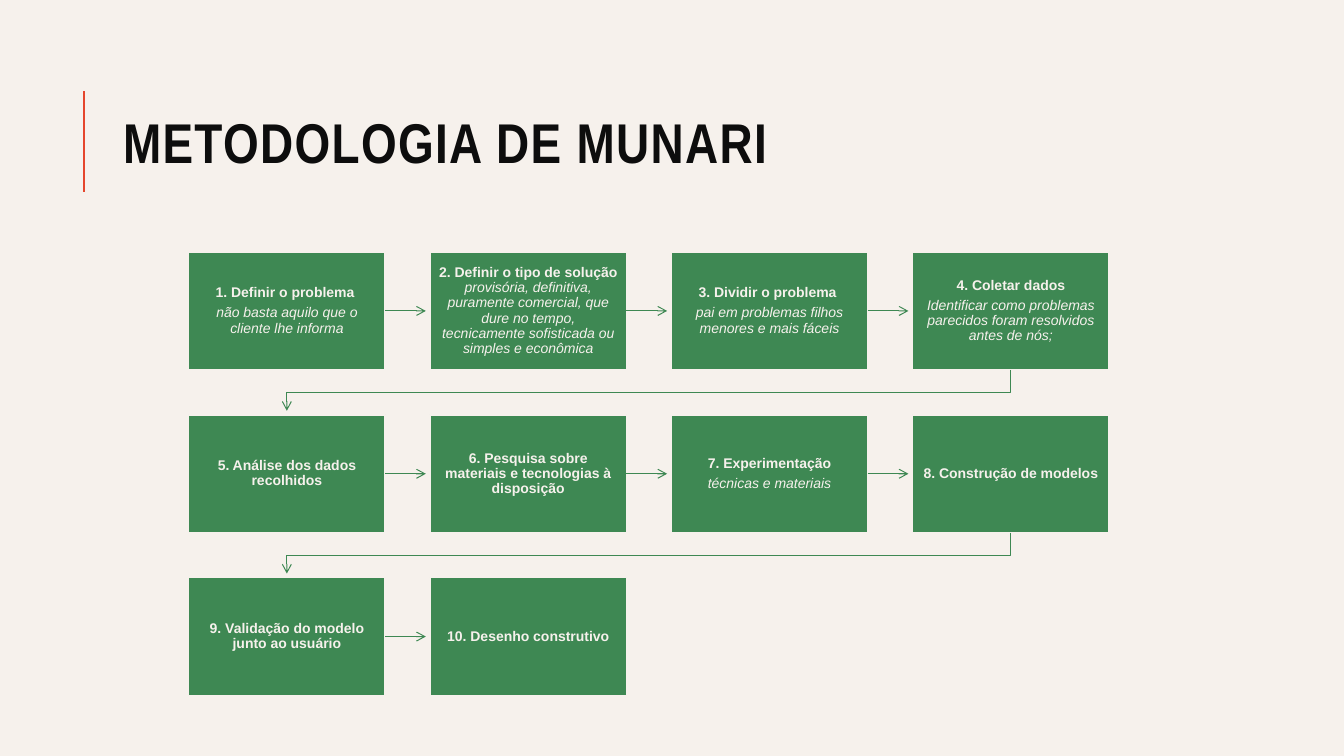
from lxml import etree
from pptx import Presentation
from pptx.dml.color import RGBColor
from pptx.enum.shapes import MSO_CONNECTOR as CONN, MSO_SHAPE as SHAPE
from pptx.enum.text import MSO_ANCHOR as ANCHOR, MSO_AUTO_SIZE as AUTO, PP_ALIGN as ALIGN
from pptx.oxml.ns import qn
from pptx.util import Inches, Pt

COLORS = {"cream": "F6F1EC", "green": "3E8853", "red": "E5462D", "ink": "0D0D0D"}

# Each step is a list of paragraphs, each made of (text, is_heading) runs
STEPS = [
    [[("1. Definir o problema ", True)],
     [("não basta aquilo que o cliente lhe informa", False)]],
    [[("2. Definir o tipo de solução ", True),
      ("provisória, definitiva, puramente comercial, que dure no tempo, "
       "tecnicamente sofisticada ou simples e econômica", False)]],
    [[("3. Dividir o problema ", True)],
     [("pai em problemas filhos menores e mais fáceis", False)]],
    [[("4. Coletar dados", True)],
     [("Identificar como problemas parecidos foram resolvidos antes de nós;", False)]],
    [[("5. Análise dos dados recolhidos", True)]],
    [[("6. Pesquisa sobre materiais e tecnologias à disposição", True)]],
    [[("7. Experimentação", True)], [("técnicas e materiais", False)]],
    [[("8. Construção de modelos", True)]],
    [[("9. Validação do modelo junto ao usuário", True)]],
    [[("10. Desenho construtivo", True)]],
]
COLS = 4
LEFT, TOP = 1.87, 2.5
BOX_W, BOX_H = 1.95, 1.17
STEP_X, STEP_Y = 7.18 / 3, 3.23 / 2
TIP_GAP = 0.04


def rgb(name):
    return RGBColor.from_string(COLORS[name])


def style_line(sp, color, width, arrow=False):
    sp.line.color.rgb = rgb(color)
    sp.line.width = Pt(width)
    sp_pr = sp._element.spPr
    if arrow:
        etree.SubElement(sp_pr.find(qn("a:ln")), qn("a:tailEnd"), type="arrow")
    if sp_pr.find(qn("a:effectLst")) is None:
        etree.SubElement(sp_pr, qn("a:effectLst"))


prs = Presentation()
prs.slide_width, prs.slide_height = Inches(13.33), Inches(7.5)
s = prs.slides.add_slide(prs.slide_layouts[5])
s.background.fill.solid()
s.background.fill.fore_color.rgb = rgb("cream")

# Title with its red rule
rule = s.shapes.add_connector(CONN.STRAIGHT, Inches(0.83), Inches(1.9), Inches(0.83), Inches(0.9))
style_line(rule, "red", 1.5)
title = s.shapes.title
title.left, title.top = Inches(1.12), Inches(0.64)
title.width, title.height = Inches(10.63), Inches(1.64)
tf = title.text_frame
tf.auto_size = AUTO.NONE
tf.word_wrap = True
tf.vertical_anchor = ANCHOR.MIDDLE
p = tf.paragraphs[0]
p.alignment = ALIGN.LEFT
p.line_spacing = 0.8
r = p.add_run()
r.text = "METODOLOGIA DE MUNARI"
r.font.name, r.font.size, r.font.bold = "Arial Narrow", Pt(40), True
r.font.color.rgb = rgb("ink")
r._r.get_or_add_rPr().set("spc", "100")

# Step boxes on a four-column grid
boxes = []
for i, paragraphs in enumerate(STEPS):
    row, col = divmod(i, COLS)
    box = s.shapes.add_shape(SHAPE.RECTANGLE, Inches(LEFT + col * STEP_X),
                             Inches(TOP + row * STEP_Y), Inches(BOX_W), Inches(BOX_H))
    box.shadow.inherit = False
    box.fill.solid()
    box.fill.fore_color.rgb = rgb("green")
    style_line(box, "cream", 1.25)
    tf = box.text_frame
    tf.word_wrap = True
    tf.vertical_anchor = ANCHOR.MIDDLE
    tf.margin_left = tf.margin_right = tf.margin_top = tf.margin_bottom = Inches(0.08)
    for n, runs in enumerate(paragraphs):
        p = tf.add_paragraph() if n else tf.paragraphs[0]
        p.alignment = ALIGN.CENTER
        p.line_spacing = 0.9
        p.space_after = Pt(3.5)
        for text, heading in runs:
            r = p.add_run()
            r.text = text
            r.font.name, r.font.size = "Arial", Pt(10)
            r.font.bold, r.font.italic = heading, not heading
            r.font.color.rgb = rgb("cream")
    boxes.append(box)

# Arrows: straight within a row, bent from the end of one row to the next
for i, (box, following) in enumerate(zip(boxes, boxes[1:])):
    if (i + 1) % COLS:
        y = box.top + box.height // 2
        arrow = s.shapes.add_connector(CONN.STRAIGHT, box.left + box.width, y,
                                       following.left - Inches(TIP_GAP), y)
        arrow.begin_connect(box, 3)
    else:
        x1, x2 = box.left + box.width // 2, following.left + following.width // 2
        y1, y2 = box.top + box.height, following.top
        middle = (y1 + y2) // 2
        path = s.shapes.build_freeform(x1, y1)
        path.add_line_segments([(x1, middle), (x2, middle), (x2, y2 - Inches(TIP_GAP))], close=False)
        arrow = path.convert_to_shape()
        arrow.fill.background()
    style_line(arrow, "green", 0.75, arrow=True)

prs.save("out.pptx")
